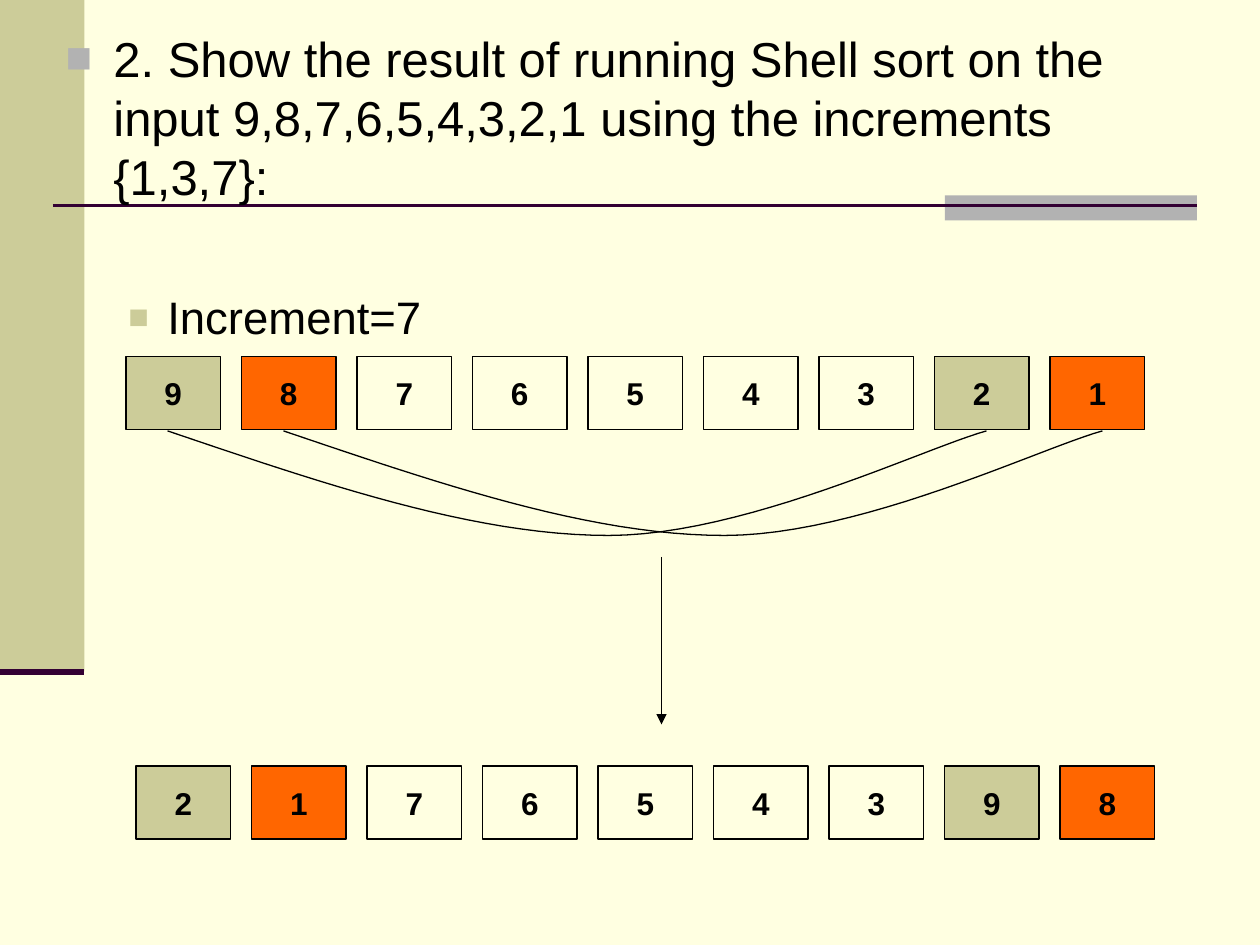
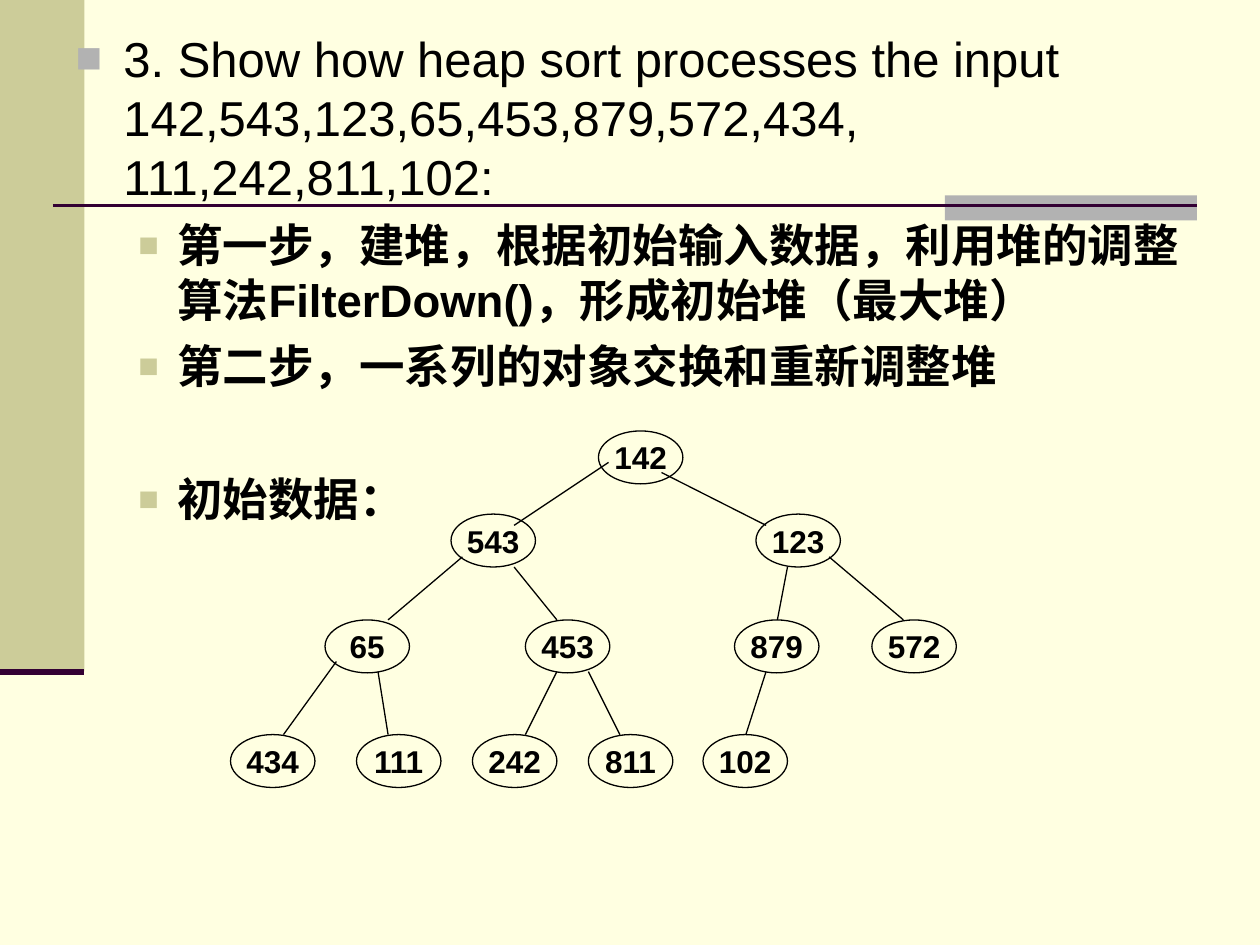
import pptx
import pptx.util
import pptx.dml.color
import pptx.enum.shapes
import pptx.enum.text
import pptx.oxml
import pptx.oxml.ns
from dataclasses import dataclass

Inches = pptx.util.Inches
Pt = pptx.util.Pt
SHAPE = pptx.enum.shapes.MSO_SHAPE
ALIGN = pptx.enum.text.PP_ALIGN
ANCHOR = pptx.enum.text.MSO_ANCHOR


@dataclass(frozen=True)
class Theme:
    font: str = "Arial"
    paper: str = "FFFFE1"
    ink: str = "000000"
    olive: str = "CCCC99"
    gray: str = "B2B2B2"
    plum: str = "330033"
    orange: str = "FF6600"
    title: float = 28
    body: float = 26
    label: float = 18
    thin: float = 0.75


T = Theme()

SHELL_TITLE = ("2. Show the result of running Shell sort on the input "
               "9,8,7,6,5,4,3,2,1 using the increments {1,3,7}:")
SHELL_STEPS = [("Increment=7", 0)]
ROWS = [
    (1.0, 2.83, [9, 8, 7, 6, 5, 4, 3, 2, 1]),
    (1.08, 6.08, [2, 1, 7, 6, 5, 4, 3, 9, 8]),
]
CELL_FILLS = {0: T.olive, 1: T.orange, 7: T.olive, 8: T.orange}
CELL_W, CELL_H, CELL_PITCH = 0.75, 0.58, 11 / 12
SWAP_STARTS = [(1.33, 3.42), (2.25, 3.42)]
SWAP_CURVE = [
    [(0, 0), (1.21, 0.41), (2.42, 0.83), (3.5, 0.83)],
    [(3.5, 0.83), (4.58, 0.83), (6, 0.14), (6.5, 0)],
]
CURVE_STEPS = 24

HEAP_TITLE = ("3. Show how heap sort processes the input "
              "142,543,123,65,453,879,572,434, 111,242,811,102:")
HEAP_STEPS = [
    ("第一步，建堆，根据初始输入数据，利用堆的调整算法FilterDown()，形成初始堆（最大堆）", 0),
    ("第二步，一系列的对象交换和重新调整堆", 6.5),
    ("初始数据：", 44.5),
]
LEVEL_TOPS = [3.42, 4.08, 4.92, 5.83]
NODE_W, NODE_H = 0.67, 0.42
HEAP = [
    (142, 4.75, None),
    (543, 3.58, (4.83, 3.67, 4.08, 4.17)),
    (123, 6.0, (5.25, 3.75, 6.08, 4.17)),
    (65, 2.58, (3.67, 4.42, 3.08, 4.92)),
    (453, 4.17, (4.08, 4.5, 4.42, 4.92)),
    (879, 5.83, (6.25, 4.5, 6.17, 4.92)),
    (572, 6.92, (6.58, 4.42, 7.17, 4.92)),
    (434, 1.83, (2.67, 5.25, 2.25, 5.83)),
    (111, 2.83, (3, 5.33, 3.08, 5.83)),
    (242, 3.75, (4.42, 5.33, 4.17, 5.83)),
    (811, 4.67, (4.67, 5.33, 4.92, 5.83)),
    (102, 5.58, (6.08, 5.33, 5.92, 5.83)),
]


def rgb(color):
    return pptx.dml.color.RGBColor.from_string(color)


def add_xml(parent, tag, **attrs):
    el = pptx.oxml.parse_xml(f"<a:{tag} {pptx.oxml.ns.nsdecls('a')}/>")
    for key, value in attrs.items():
        el.set(key, str(value))
    parent.append(el)
    return el


def write(p, text, size, bold=False, align=ALIGN.LEFT, bullet=None,
          indent=(0, 0), line=None, before=0):
    if bullet:
        color, percent = bullet
        pPr = p._p.get_or_add_pPr()
        pPr.set("marL", str(Inches(indent[0])))
        pPr.set("indent", str(Inches(indent[1])))
        add_xml(add_xml(pPr, "buClr"), "srgbClr", val=color)
        add_xml(pPr, "buSzPct", val=percent * 1000)
        add_xml(pPr, "buFont", typeface=T.font)
        add_xml(pPr, "buChar", char="■")
    p.alignment = align
    p.space_before = Pt(before)
    if line:
        p.line_spacing = Pt(line)
    r = p.add_run()
    r.text = text
    r.font.name, r.font.size, r.font.bold = T.font, Pt(size), bold
    r.font.color.rgb = rgb(T.ink)


def add_box(slide, kind, x, y, w, h, fill, text=None):
    sp = slide.shapes.add_shape(kind, Inches(x), Inches(y), Inches(w), Inches(h))
    sp.shadow.inherit = False
    sp.fill.solid()
    sp.fill.fore_color.rgb = rgb(fill)
    if text is None:
        sp.line.fill.background()
        return sp
    sp.line.color.rgb = rgb(T.ink)
    sp.line.width = Pt(T.thin)
    tf = sp.text_frame
    tf.word_wrap = False
    tf.vertical_anchor = ANCHOR.MIDDLE
    write(tf.paragraphs[0], str(text), T.label, bold=True, align=ALIGN.CENTER)
    return sp


def add_line(slide, x1, y1, x2, y2, color=T.ink, width=T.thin, arrow=False):
    line = slide.shapes.add_connector(
        pptx.enum.shapes.MSO_CONNECTOR.STRAIGHT,
        Inches(x1), Inches(y1), Inches(x2), Inches(y2))
    line.line.color.rgb = rgb(color)
    line.line.width = Pt(width)
    spPr = line.element.spPr
    if arrow:
        add_xml(spPr.find(pptx.oxml.ns.qn("a:ln")), "tailEnd", type="triangle")
    add_xml(spPr, "effectLst")
    return line


def add_curve(slide, x, y):
    points = []
    for a, b, c, d in SWAP_CURVE:
        for i in range(CURVE_STEPS + 1):
            t = i / CURVE_STEPS
            weights = ((1 - t) ** 3, 3 * t * (1 - t) ** 2, 3 * t * t * (1 - t), t ** 3)
            dx, dy = (sum(k * q[axis] for k, q in zip(weights, (a, b, c, d)))
                      for axis in (0, 1))
            points.append((Inches(x + dx), Inches(y + dy)))
    builder = slide.shapes.build_freeform(*points[0])
    builder.add_line_segments(points[1:], close=False)
    sp = builder.convert_to_shape()
    sp.shadow.inherit = False
    sp.fill.background()
    sp.line.color.rgb = rgb(T.ink)
    sp.line.width = Pt(T.thin)


def decorate_layout(slide):
    parts = [
        add_box(slide, SHAPE.RECTANGLE, 0, 0, 0.67, 5.33, T.olive),
        add_box(slide, SHAPE.RECTANGLE, 7.5, 1.55, 2, 0.2, T.gray),
        add_line(slide, 0.42, 1.63, 9.5, 1.63, T.plum, 1.5),
        add_line(slide, 0, 5.33, 0.67, 5.33, T.plum, 3.5),
    ]
    for i, part in enumerate(parts):
        part.element.xpath("./*/p:cNvPr")[0].set("id", str(100 + i))
        slide.slide_layout.shapes.element.append(part.element)


def add_text(slide, left, title, steps, steps_top, bold):
    sp = slide.shapes.title
    sp.left, sp.top = Inches(left), Inches(0.17)
    sp.width, sp.height = Inches(9), Inches(1.5)
    tf = sp.text_frame
    tf.auto_size = pptx.enum.text.MSO_AUTO_SIZE.NONE
    tf.vertical_anchor = ANCHOR.TOP
    write(tf.paragraphs[0], title, T.title, bullet=(T.gray, 90),
          indent=(0.38, -0.38), line=33.9)
    tf = slide.shapes.add_textbox(Inches(left), Inches(steps_top),
                                  Inches(9), Inches(0.55 * len(steps))).text_frame
    tf.word_wrap = True
    for i, (text, before) in enumerate(steps):
        p = tf.add_paragraph() if i else tf.paragraphs[0]
        write(p, text, T.body, bold=bold, bullet=(T.olive, 75),
              indent=(0.81, -0.31), line=31.4, before=before)


def build_shell_sort(slide):
    add_text(slide, 0.42, SHELL_TITLE, SHELL_STEPS, 2.24, bold=False)
    for left, top, values in ROWS:
        for i, value in enumerate(values):
            add_box(slide, SHAPE.RECTANGLE, left + i * CELL_PITCH, top,
                    CELL_W, CELL_H, CELL_FILLS.get(i, T.paper), value)
    for x, y in SWAP_STARTS:
        add_curve(slide, x, y)
    add_line(slide, 5.25, 4.42, 5.25, 5.75, arrow=True)


def build_heap_sort(slide):
    add_text(slide, 0.5, HEAP_TITLE, HEAP_STEPS, 1.67, bold=True)
    for i, (value, left, edge) in enumerate(HEAP):
        level = (i + 1).bit_length() - 1
        add_box(slide, SHAPE.OVAL, left, LEVEL_TOPS[level], NODE_W, NODE_H,
                T.paper, value)
    for value, left, edge in HEAP:
        if edge:
            add_line(slide, *edge)


def main():
    prs = pptx.Presentation()
    prs.slide_width, prs.slide_height = Inches(10), Inches(7.5)
    fill = prs.slide_master.background.fill
    fill.solid()
    fill.fore_color.rgb = rgb(T.paper)
    layout = prs.slide_layouts.get_by_name("Title Only")
    shell, heap = (prs.slides.add_slide(layout) for _ in range(2))
    decorate_layout(shell)
    build_shell_sort(shell)
    build_heap_sort(heap)
    prs.save("out.pptx")


if __name__ == "__main__":
    main()
